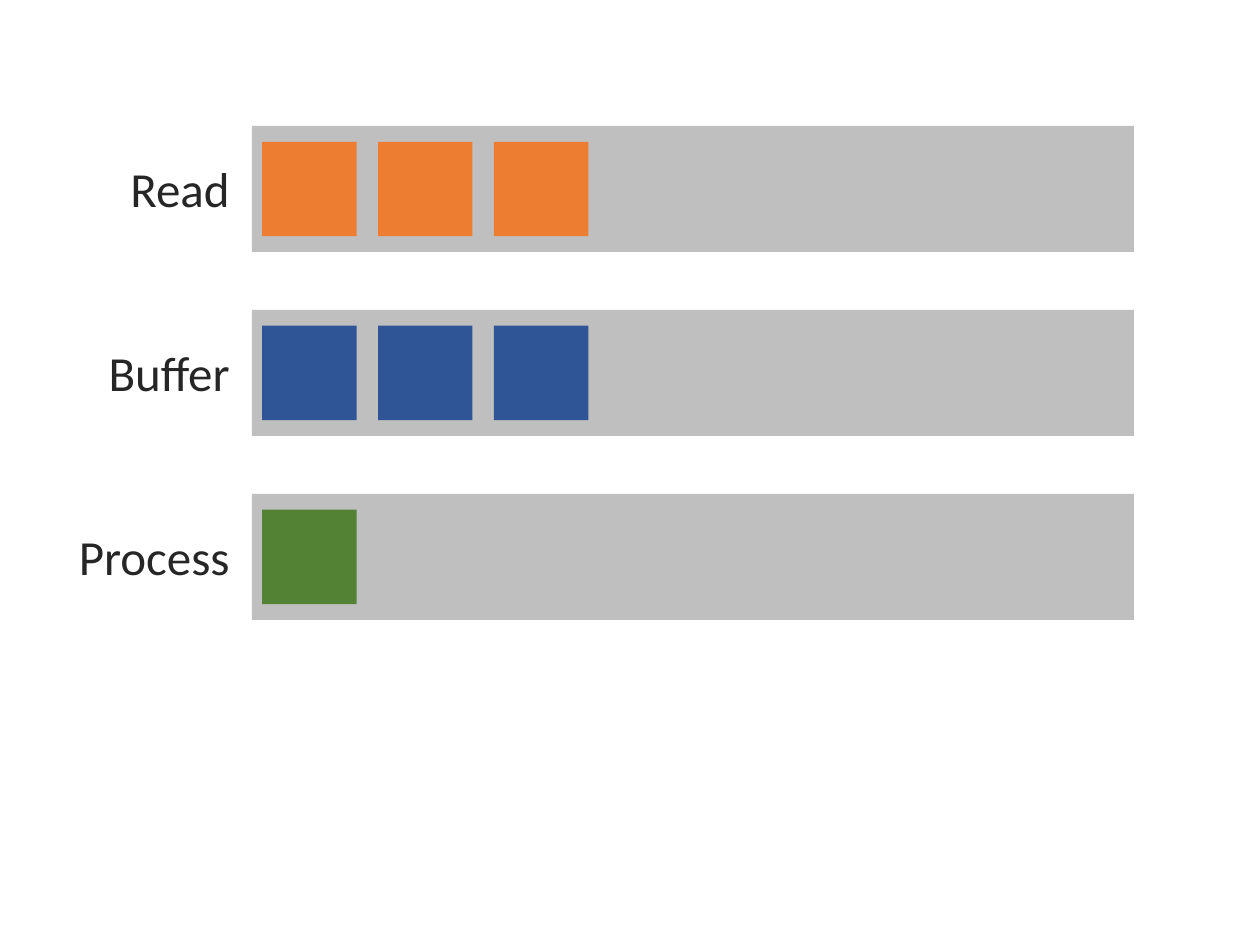
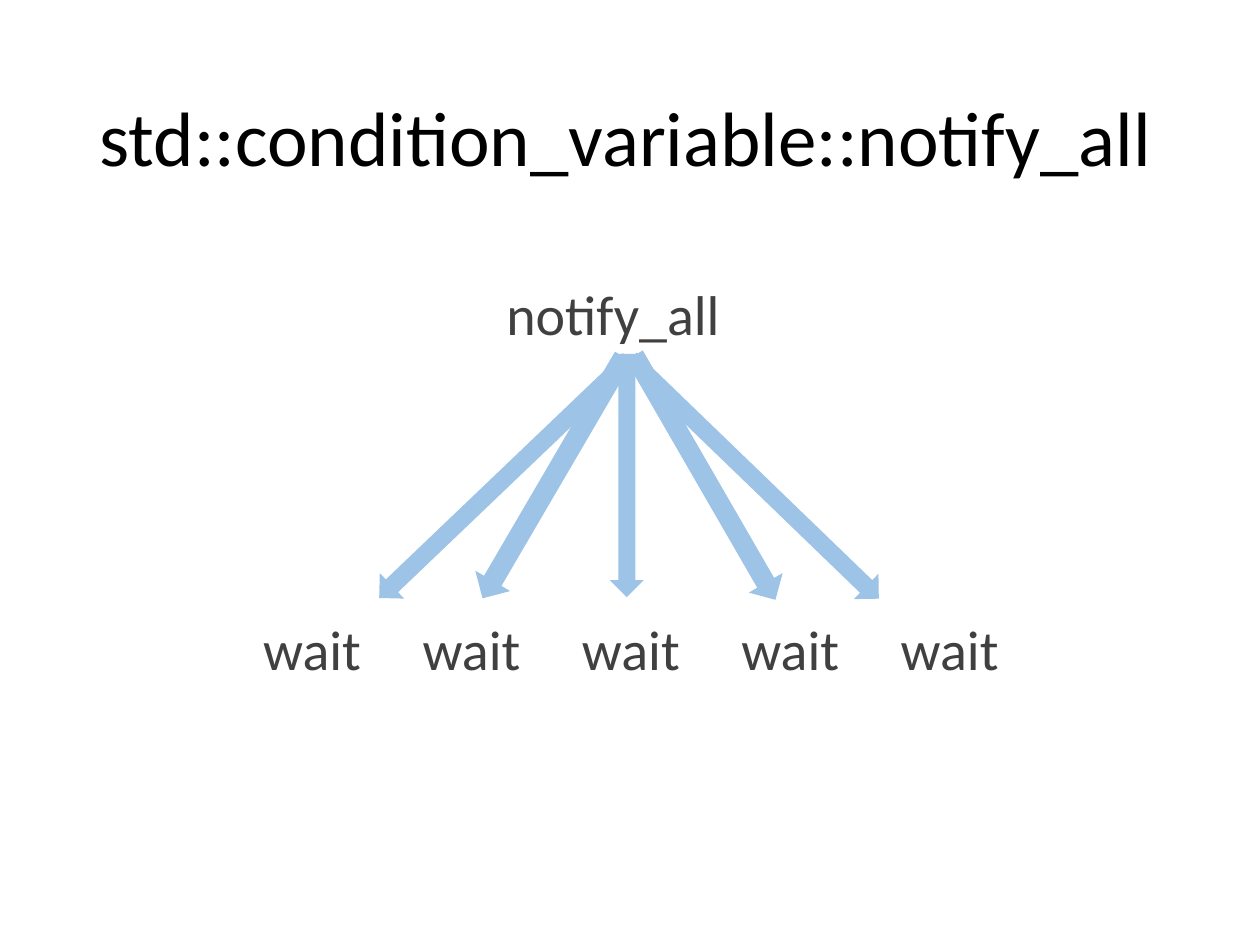
"""Builds two slides: pipeline lanes and the notify_all fan-out."""
from pptx import Presentation
from pptx.dml.color import RGBColor
from pptx.enum.shapes import MSO_SHAPE
from pptx.enum.text import MSO_ANCHOR, MSO_AUTO_SIZE, PP_ALIGN
from pptx.util import Inches, Pt

RECT, DOWN_ARROW = MSO_SHAPE.RECTANGLE, MSO_SHAPE.DOWN_ARROW
LEFT, RIGHT = PP_ALIGN.LEFT, PP_ALIGN.RIGHT
MIDDLE = MSO_ANCHOR.MIDDLE
NO_FIT, GROW = MSO_AUTO_SIZE.NONE, MSO_AUTO_SIZE.SHAPE_TO_FIT_TEXT
FONT = "Calibri"
TITLE_ONLY, BLANK = 5, 6

COLORS = {
    "white": "FFFFFF",
    "title": "000000",
    "lane label": "262626",
    "node": "404040",
    "lane": "BFBFBF",
    "read": "ED7D31",
    "buffer": "2F5597",
    "process": "548235",
    "arrow": "9DC3E6",
}

LANES = [("Read", "read", 3), ("Buffer", "buffer", 3), ("Process", "process", 1)]
LANE_X, LANE_Y, LANE_W, LANE_H, LANE_STEP = 2, 1, 7, 1, 1.46
BLOCK, BLOCK_X, BLOCK_STEP = 0.75, 2.08, 0.92

TITLE = "std::condition_variable::notify_all"
SOURCE = "notify_all"
WAITERS = ["wait"] * 5
WAIT_X, WAIT_Y, WAIT_STEP = 1.99, 4.83, 1.265
ARROWS = [
    (4.23, 2.68, 0.32, 2.22, 30.3),
    (3.86, 2.43, 0.28, 2.74, 46.3),
    (5.85, 2.43, 0.28, 2.74, 314),
    (5.44, 2.67, 0.31, 2.24, 330),
    (4.84, 2.81, 0.27, 1.93, 0),
]


def rgb(name):
    return RGBColor.from_string(COLORS[name])


def box(*lengths):
    return [Inches(n) for n in lengths]


def add_slide(prs, layout):
    s = prs.slides.add_slide(prs.slide_layouts[layout])
    s.background.fill.solid()
    s.background.fill.fore_color.rgb = rgb("white")
    return s


def add_solid(shapes, kind, at, color, rotation=0):
    sp = shapes.add_shape(kind, *box(*at))
    sp.shadow.inherit = False
    sp.fill.solid()
    sp.fill.fore_color.rgb = rgb(color)
    sp.line.fill.background()
    sp.rotation = rotation


def write(tf, text, size, color, align=LEFT):
    p = tf.paragraphs[0]
    p.alignment = align
    r = p.add_run()
    r.text = text
    r.font.name = FONT
    r.font.size = Pt(size)
    r.font.color.rgb = rgb(color)
    return p


def add_label(shapes, at, text, size, color, align=LEFT, wrap=False):
    tf = shapes.add_textbox(*box(*at)).text_frame
    tf.word_wrap = wrap
    tf.auto_size = GROW
    write(tf, text, size, color, align)


def build_lanes(prs):
    shapes = add_slide(prs, BLANK).shapes
    for row, (name, color, count) in enumerate(LANES):
        y = LANE_Y + row * LANE_STEP
        add_solid(shapes, RECT, (LANE_X, y, LANE_W, LANE_H), "lane")
        add_label(shapes, (0.5, y + 0.21, 1.42, 0.57), name, 28, "lane label", RIGHT, True)
        for i in range(count):
            x = BLOCK_X + i * BLOCK_STEP
            block_y = y + (LANE_H - BLOCK) / 2
            add_solid(shapes, RECT, (x, block_y, BLOCK, BLOCK), color)


def build_fan_out(prs):
    shapes = add_slide(prs, TITLE_ONLY).shapes
    title = shapes.title
    title.left, title.top, title.width, title.height = box(0.69, 0.4, 8.62, 1.45)
    tf = title.text_frame
    tf.word_wrap = True
    tf.auto_size = NO_FIT
    tf.vertical_anchor = MIDDLE
    write(tf, TITLE, 44, "title").line_spacing = 0.9

    add_label(shapes, (3.92, 2.17, 1.92, 0.64), SOURCE, 32, "node")
    waiters = shapes.add_group_shape().shapes
    for i, text in enumerate(WAITERS):
        at = (WAIT_X + i * WAIT_STEP, WAIT_Y, 0.99, 0.64)
        add_label(waiters, at, text, 32, "node")
    for *at, angle in ARROWS:
        add_solid(shapes, DOWN_ARROW, at, "arrow", angle)


def main():
    prs = Presentation()
    prs.slide_width, prs.slide_height = box(10, 7.5)
    build_lanes(prs)
    build_fan_out(prs)
    prs.save("out.pptx")


if __name__ == "__main__":
    main()
